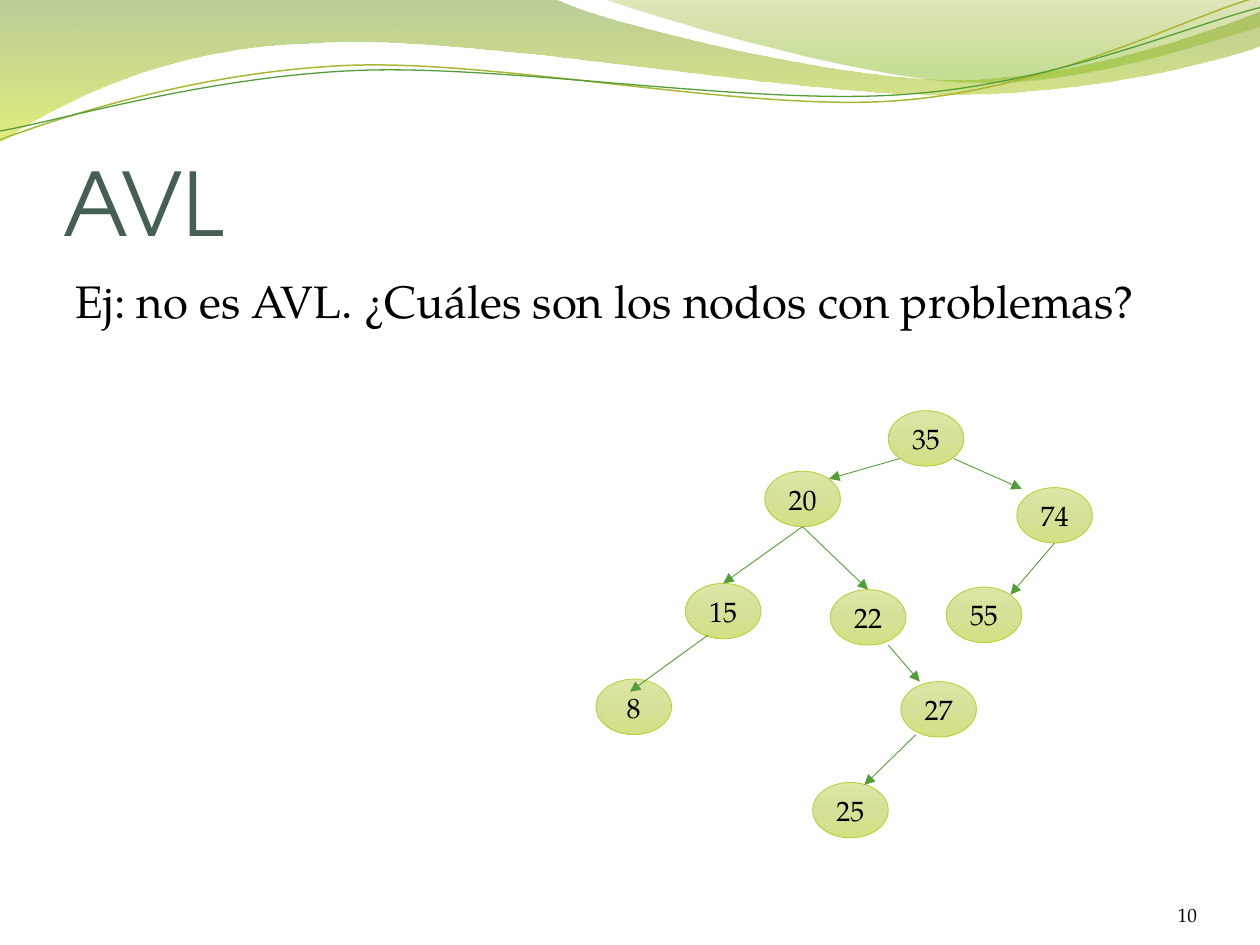
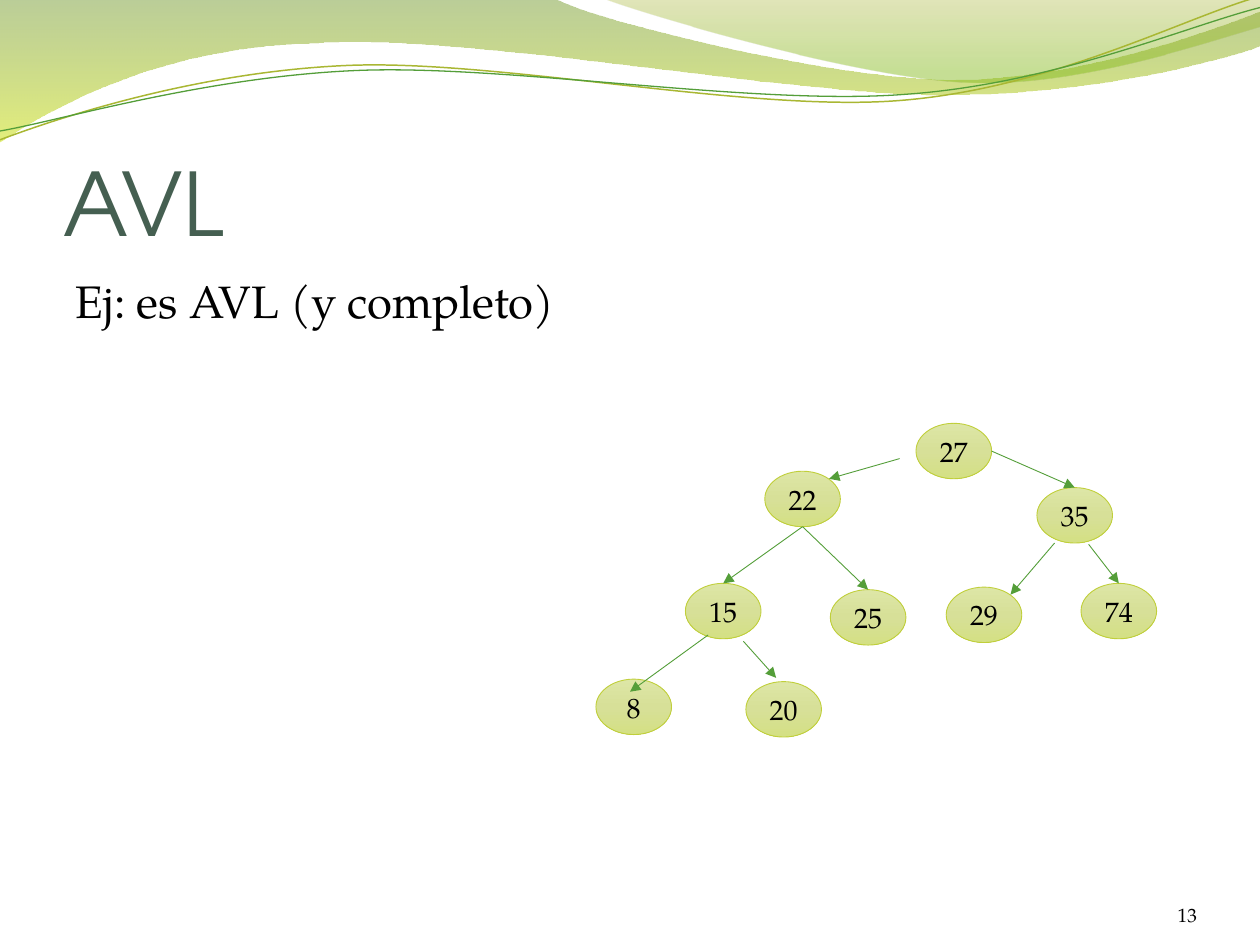
from dataclasses import dataclass

from lxml.etree import SubElement
from pptx import Presentation
from pptx.dml.color import RGBColor
from pptx.enum.shapes import MSO_CONNECTOR, MSO_SHAPE
from pptx.enum.text import MSO_ANCHOR, MSO_AUTO_SIZE, PP_ALIGN
from pptx.oxml.ns import qn
from pptx.util import Inches, Pt

TITLE_FONT = "TeX Gyre Adventor"
TEXT_FONT = "TeX Gyre Pagella"
TITLE_COLOR = "455F51"
TEXT_COLOR = "000000"
ARROW_COLOR = "549E39"
NODE_LINE = "C0CF3A"
NODE_STOPS = [(0, "DDE6A6", 100), (50, "D7E098", 100), (100, "D4E084", 100)]
NODE_WIDTH, NODE_HEIGHT = 0.6, 0.44


@dataclass
class Wave:
    """A header outline: steps of one point are lines, steps of three are curves."""

    start: tuple
    steps: list
    stops: list | None = None
    line: str | None = None
    width: float = 0


@dataclass
class Node:
    """A tree node with its label and top left corner."""

    label: str
    left: float
    top: float


@dataclass
class Arrow:
    """An arrow from a parent node to a child node."""

    start: tuple
    end: tuple


@dataclass
class TreeSlide:
    """The statement, page number and tree of one slide."""

    statement: str
    number: str
    nodes: list
    arrows: list


WAVES = [
    Wave((0, 0), [
        [(4.4, -0.01)],
        [(4.75, 0.17), (6.63, 0.63), (7.58, 0.63)],
        [(8.53, 0.63), (9.58, 0.26), (10, 0.09)],
        [(10.01, 0.36)],
        [(9.83, 0.44), (8.69, 0.76), (7.46, 0.75)],
        [(6.22, 0.75), (3.81, 0.28), (2.57, 0.34)],
        [(1.29, 0.36), (0.46, 0.83), (-0.01, 1.13)],
        [(0, 0)],
    ], stops=[(0, "69921C", 45), (100, "CCE10F", 55)]),
    Wave((4.79, -0.01), [
        [(5.09, 0.11), (6.82, 0.62), (7.68, 0.65)],
        [(8.55, 0.69), (9.61, 0.32), (10, 0.21)],
        [(10, 0)],
        [(4.79, -0.01)],
    ], stops=[(0, "9BAA1A", 30), (80, "81BA16", 45)]),
    Wave((0, 1.11), [
        [(0.48, 0.93), (1.57, 0.57), (2.76, 0.52)],
        [(3.95, 0.47), (5.92, 0.89), (7.12, 0.8)],
        [(8.33, 0.71), (9.38, 0.15), (9.97, -0.02)],
    ], line="A9B733", width=0.85),
    Wave((0, 1.04), [
        [(0.47, 0.96), (1.63, 0.61), (2.83, 0.56)],
        [(4.02, 0.51), (5.97, 0.84), (7.17, 0.75)],
        [(8.36, 0.67), (9.41, 0.21), (10, 0.06)],
    ], line=ARROW_COLOR, width=0.75),
]

SHARED_ARROWS = [
    Arrow((7.14, 3.64), (6.58, 3.8)),
    Arrow((6.37, 4.18), (5.74, 4.63)),
    Arrow((6.37, 4.18), (6.89, 4.68)),
    Arrow((8.37, 4.31), (8.02, 4.72)),
    Arrow((5.62, 5.04), (5, 5.49)),
]

TREE_SLIDES = [
    TreeSlide(
        "Ej: no es AVL. ¿Cuáles son los nodos con problemas?", "10",
        [Node("35", 7.05, 3.26), Node("74", 8.07, 3.87), Node("20", 6.07, 3.74),
         Node("55", 7.51, 4.66), Node("22", 6.59, 4.68), Node("27", 7.15, 5.41),
         Node("15", 5.44, 4.63), Node("25", 6.45, 6.21), Node("8", 4.73, 5.39)],
        [Arrow((7.57, 3.64), (8.11, 3.88)), Arrow((7.27, 5.83), (6.86, 6.23)),
         Arrow((7.05, 5.12), (7.3, 5.41))],
    ),
    TreeSlide(
        "Ej: es AVL (y completo)", "13",
        [Node("35", 8.23, 3.87), Node("74", 8.58, 4.63), Node("22", 6.07, 3.74),
         Node("29", 7.51, 4.66), Node("25", 6.59, 4.68), Node("27", 7.27, 3.36),
         Node("15", 5.44, 4.63), Node("20", 5.92, 5.41), Node("8", 4.73, 5.39)],
        [Arrow((8.64, 4.32), (8.88, 4.63)), Arrow((5.9, 5.09), (6.16, 5.38)),
         Arrow((7.87, 3.58), (8.53, 3.87))],
    ),
]


def rgb(value: str) -> RGBColor:
    """Turn a hex string into a colour."""
    return RGBColor.from_string(value)


def set_line(shape, color: str, width: float) -> None:
    """Give a shape or connector a solid line."""
    shape.line.color.rgb = rgb(color)
    shape.line.width = Pt(width)


def set_gradient(shape, stops: list) -> None:
    """Fill a shape from top to bottom with (position, colour, opacity) stops."""
    shape.fill.gradient()
    shape.fill.gradient_angle = 270
    stop_list = shape.element.spPr.find(qn("a:gradFill")).find(qn("a:gsLst"))
    for old_stop in list(stop_list):
        stop_list.remove(old_stop)
    for position, color, opacity in stops:
        stop = SubElement(stop_list, qn("a:gs"), pos=str(position * 1000))
        color_element = SubElement(stop, qn("a:srgbClr"), val=color)
        if opacity < 100:
            SubElement(color_element, qn("a:alpha"), val=str(opacity * 1000))


def write(shape, text: str, size: float, align: PP_ALIGN, anchor: MSO_ANCHOR,
          font: str = TEXT_FONT, color: str = TEXT_COLOR,
          margins: tuple = (0.1, 0.05, 0.1, 0.05), wrap: bool = True):
    """Write one formatted run into a shape and return its paragraph."""
    frame = shape.text_frame
    frame.auto_size = MSO_AUTO_SIZE.NONE
    frame.word_wrap = wrap
    frame.vertical_anchor = anchor
    (frame.margin_left, frame.margin_top,
     frame.margin_right, frame.margin_bottom) = map(Inches, margins)
    paragraph = frame.paragraphs[0]
    paragraph.alignment = align
    run = paragraph.add_run()
    run.text = text
    run.font.name = font
    run.font.size = Pt(size)
    run.font.color.rgb = rgb(color)
    return paragraph


def place(shape, left: float, top: float, width: float, height: float) -> None:
    """Move and size a shape in inches."""
    shape.left, shape.top = Inches(left), Inches(top)
    shape.width, shape.height = Inches(width), Inches(height)


def bend(shape, steps: list) -> None:
    """Turn the segments of every three-point step into one cubic curve."""
    segments = shape.element.spPr.iter(qn("a:lnTo"))
    segments = iter(list(segments))
    for step in steps:
        first, *others = [next(segments) for _ in step]
        if others:
            curve = SubElement(first.getparent(), qn("a:cubicBezTo"))
            first.addprevious(curve)
            for segment in (first, *others):
                curve.append(segment[0])
                segment.getparent().remove(segment)


def draw_wave(slide, wave: Wave):
    """Draw one header wave and return its shape."""
    builder = slide.shapes.build_freeform(*map(Inches, wave.start))
    builder.add_line_segments(
        [(Inches(x), Inches(y)) for step in wave.steps for x, y in step],
        close=wave.stops is not None)
    shape = builder.convert_to_shape()
    bend(shape, wave.steps)
    shape.shadow.inherit = False
    if wave.stops:
        set_gradient(shape, wave.stops)
        shape.line.fill.background()
    else:
        shape.fill.background()
        set_line(shape, wave.line, wave.width)
    return shape


def move_to_layout(slide, shapes: list) -> None:
    """Move shapes to the back of the slide's layout, so that all slides share them."""
    tree = slide.slide_layout.shapes.element
    for offset, shape in enumerate(shapes):
        tree.insert(2 + offset, shape.element)


def draw_node(slide, node: Node) -> None:
    """Draw one tree node."""
    shape = slide.shapes.add_shape(
        MSO_SHAPE.OVAL, Inches(node.left), Inches(node.top),
        Inches(NODE_WIDTH), Inches(NODE_HEIGHT))
    shape.shadow.inherit = False
    set_gradient(shape, NODE_STOPS)
    set_line(shape, NODE_LINE, 0.5)
    write(shape, node.label, 16, PP_ALIGN.CENTER, MSO_ANCHOR.MIDDLE, wrap=False)


def draw_arrow(slide, arrow: Arrow) -> None:
    """Draw one arrow with a triangular head at its end."""
    connector = slide.shapes.add_connector(
        MSO_CONNECTOR.STRAIGHT, *map(Inches, arrow.start + arrow.end))
    set_line(connector, ARROW_COLOR, 0.5)
    properties = connector.element.spPr
    SubElement(properties.find(qn("a:ln")), qn("a:tailEnd"), type="triangle")
    SubElement(properties, qn("a:effectLst"))


def fill_slide(slide, content: TreeSlide) -> None:
    """Write the texts of a slide and draw its tree."""
    title, body = slide.placeholders
    place(title, 0.5, 0.77, 9, 1.25)
    write(title, "AVL", 50, PP_ALIGN.LEFT, MSO_ANCHOR.BOTTOM,
          TITLE_FONT, TITLE_COLOR, (0, 0.05, 0, 0))
    place(body, 0.5, 2.12, 9, 4.8)
    statement = write(body, content.statement, 26, PP_ALIGN.JUSTIFY, MSO_ANCHOR.TOP)
    properties = statement._p.get_or_add_pPr()
    properties.set("marL", "0")
    properties.set("indent", "0")
    SubElement(properties, qn("a:buNone"))
    number = slide.shapes.add_textbox(
        Inches(8.67), Inches(6.95), Inches(0.83), Inches(0.4))
    write(number, content.number, 11, PP_ALIGN.RIGHT, MSO_ANCHOR.BOTTOM,
          margins=(0, 0, 0, 0))
    for node in content.nodes:
        draw_node(slide, node)
    for arrow in SHARED_ARROWS + content.arrows:
        draw_arrow(slide, arrow)


def main() -> None:
    """Build and save the presentation."""
    presentation = Presentation()
    presentation.slide_width, presentation.slide_height = Inches(10), Inches(7.5)
    layout = presentation.slide_layouts[1]
    slides = [presentation.slides.add_slide(layout) for _ in TREE_SLIDES]
    move_to_layout(slides[0], [draw_wave(slides[0], wave) for wave in WAVES])
    for slide, content in zip(slides, TREE_SLIDES):
        fill_slide(slide, content)
    presentation.save("out.pptx")


if __name__ == "__main__":
    main()
